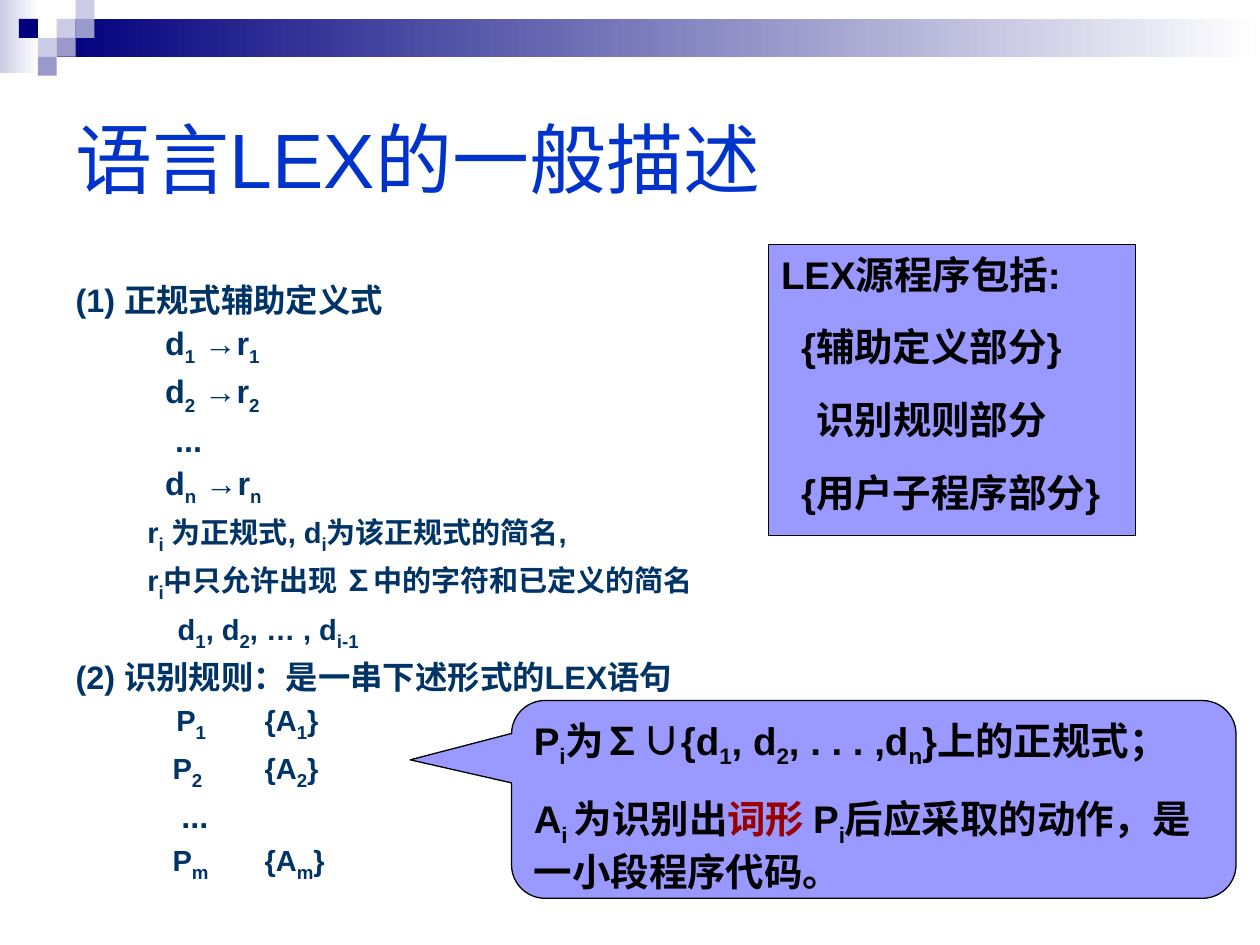
import pptx
import pptx.dml.color
import pptx.enum.shapes
import pptx.enum.text
import pptx.oxml
import pptx.oxml.ns
import pptx.util
from lxml import etree

Inches = pptx.util.Inches
Pt = pptx.util.Pt
SHAPES = pptx.enum.shapes.MSO_SHAPE
ANCHOR = pptx.enum.text.MSO_ANCHOR
ALIGN = pptx.enum.text.PP_ALIGN

NAVY, LAVENDER, PALE, WHITE = "00007D", "9999CC", "CCCCE6", "FFFFFF"
TITLE_BLUE, BODY_BLUE, PANEL, BLACK, RED = "0033CC", "003366", "9999FF", "000000", "990000"
LARGE, SMALL = 18.5, 16.6
PANEL_SIZE = 22
ACTION_TAB = 1.52

SQUARES = [
    (3, 1, PALE), (4, 0, PALE), (4, 1, LAVENDER), (2, 2, PALE),
    (1, 1, NAVY), (3, 2, LAVENDER), (2, 3, LAVENDER),
]

BODY_LINES = [
    ("(1) 正规式辅助定义式", 0, 0, LARGE, 2.5),
    ("d|1| →r|1", 0, 0.71, LARGE, 2.5),
    ("d|2| →r|2", 0, 0.71, LARGE, 2.5),
    ("...", 0, 0.79, LARGE, 2.5),
    ("d|n| →r|n", 0, 0.71, LARGE, 2.5),
    ("r|i| 为正规式, d|i|为该正规式的简名,", 1, 0.57, SMALL, 2.2),
    ("r|i|中只允许出现 ∑中的字符和已定义的简名", 1, 0.57, SMALL, 2.2),
    ("d|1|, d|2|, … , d|i-1", 1, 0.81, SMALL, 2.5),
    ("(2) 识别规则：是一串下述形式的LEX语句", 0, 0, LARGE, 2.5),
    ("P|1|\t{A|1|}", 0, 0.8, SMALL, 2.2),
    ("P|2|\t{A|2|}", 0, 0.77, SMALL, 2.2),
    ("...", 0, 0.84, LARGE, 2.5),
    ("P|m|\t{A|m|}", 0, 0.77, SMALL, 2.2),
]

PANEL_LINES = [
    ("LEX源程序包括:", 0),
    ("{辅助定义部分}", 0.16),
    ("识别规则部分", 0.28),
    ("{用户子程序部分}", 0.16),
]


def color(value):
    return pptx.dml.color.RGBColor.from_string(value)


def format_run(run, size, value, bold=True):
    run.font.name = "Arial"
    run.font.size = Pt(size)
    run.font.bold = bold
    run.font.color.rgb = color(value)


def add_marked_text(paragraph, text, size, subscript_size, value):
    for position, piece in enumerate(text.split("|")):
        if piece:
            run = paragraph.add_run()
            run.text = piece
            is_subscript = position % 2 == 1
            format_run(run, subscript_size if is_subscript else size, value)
            if is_subscript:
                run.font._element.set("baseline", "-25000")


def set_indent(paragraph, indent):
    properties = paragraph._p.get_or_add_pPr()
    properties.set("marL", "0")
    properties.set("indent", str(Inches(indent)))
    return properties


def place(shape, left, top, width, height):
    shape.left, shape.top = Inches(left), Inches(top)
    shape.width, shape.height = Inches(width), Inches(height)


def get_paragraph(text_frame, number):
    return text_frame.add_paragraph() if number else text_frame.paragraphs[0]


def add_block(slide, kind, left, top, width, height):
    shape = slide.shapes.add_shape(
        kind, Inches(left), Inches(top), Inches(width), Inches(height))
    shape.shadow.inherit = False
    shape.line.fill.background()
    return shape


def add_gradient(slide, left, top, width, height, start):
    shape = add_block(slide, SHAPES.RECTANGLE, left, top, width, height)
    shape.fill.gradient()
    shape.fill.gradient_angle = 0
    for stop, value, position in zip(shape.fill.gradient_stops, (start, WHITE), (0, 1)):
        stop.color.rgb = color(value)
        stop.position = position


def add_decoration(slide):
    add_gradient(slide, 0, 0, 0.31, 0.58, PALE)
    add_gradient(slide, 0.45, 0.15, 9.55, 0.3, NAVY)
    side = 0.15
    for column, row, value in SQUARES:
        square = add_block(slide, SHAPES.RECTANGLE, column * side, row * side, side, side)
        square.fill.solid()
        square.fill.fore_color.rgb = color(value)


def add_panel(slide, kind, left, top, width, height):
    shape = add_block(slide, kind, left, top, width, height)
    shape.fill.solid()
    shape.fill.fore_color.rgb = color(PANEL)
    shape.line.color.rgb = color(BLACK)
    shape.line.width = Pt(0.75)
    shape.text_frame.word_wrap = True
    shape.text_frame.vertical_anchor = ANCHOR.TOP
    return shape


def fill_title(slide):
    title = slide.shapes.title
    place(title, 0.5, 0.5, 9, 1.5)
    title.text_frame.text = "语言LEX的一般描述"
    title.text_frame.vertical_anchor = ANCHOR.MIDDLE
    paragraph = title.text_frame.paragraphs[0]
    paragraph.alignment = ALIGN.LEFT
    format_run(paragraph.runs[0], 44, TITLE_BLUE, bold=False)


def fill_body(slide):
    body = slide.placeholders[1]
    place(body, 0.5, 2.17, 9, 5.05)
    body.text_frame.auto_size = pptx.enum.text.MSO_AUTO_SIZE.NONE
    for number, (text, level, indent, size, space) in enumerate(BODY_LINES):
        paragraph = get_paragraph(body.text_frame, number)
        paragraph.level = level
        properties = set_indent(paragraph, indent)
        etree.SubElement(properties, pptx.oxml.ns.qn("a:buNone"))
        if "\t" in text:
            tabs = etree.SubElement(properties, pptx.oxml.ns.qn("a:tabLst"))
            etree.SubElement(tabs, pptx.oxml.ns.qn("a:tab"),
                             pos=str(Inches(ACTION_TAB)), algn="l")
        paragraph.space_before = Pt(space if number else 0)
        add_marked_text(paragraph, text, size, LARGE, BODY_BLUE)


def add_program_panel(slide):
    panel = add_panel(slide, SHAPES.RECTANGLE, 6.1, 1.94, 2.91, 2.31)
    panel.text_frame.margin_right = Inches(0.03)
    for number, (text, indent) in enumerate(PANEL_LINES):
        paragraph = get_paragraph(panel.text_frame, number)
        paragraph.text = text
        paragraph.alignment = ALIGN.LEFT
        paragraph.space_after = Pt(15.1)
        set_indent(paragraph, indent)
        format_run(paragraph.runs[0], PANEL_SIZE, BLACK)


def add_rule_callout(slide):
    callout = add_panel(slide, SHAPES.ROUNDED_RECTANGULAR_CALLOUT, 4.06, 5.56, 5.75, 1.57)
    for number, value in enumerate((-0.64, -0.2, 0.17)):
        callout.adjustments[number] = value
    lines = [
        [("P|i|为∑∪{d|1|, d|2|, . . . ,d|n|}上的正规式；", BLACK)],
        [("A|i |为识别出", BLACK), ("词形 ", RED),
         ("P|i|后应采取的动作，是一小段程序代码。", BLACK)],
    ]
    for number, pieces in enumerate(lines):
        paragraph = get_paragraph(callout.text_frame, number)
        paragraph.alignment = ALIGN.LEFT
        for text, value in pieces:
            add_marked_text(paragraph, text, PANEL_SIZE, PANEL_SIZE, value)
    callout.text_frame.paragraphs[0].space_after = Pt(15.1)


def main():
    presentation = pptx.Presentation()
    presentation.slide_width = Inches(10)
    presentation.slide_height = Inches(7.5)
    slide = presentation.slides.add_slide(presentation.slide_layouts[1])
    add_decoration(slide)
    fill_title(slide)
    fill_body(slide)
    add_program_panel(slide)
    add_rule_callout(slide)
    presentation.save("out.pptx")


if __name__ == "__main__":
    main()
